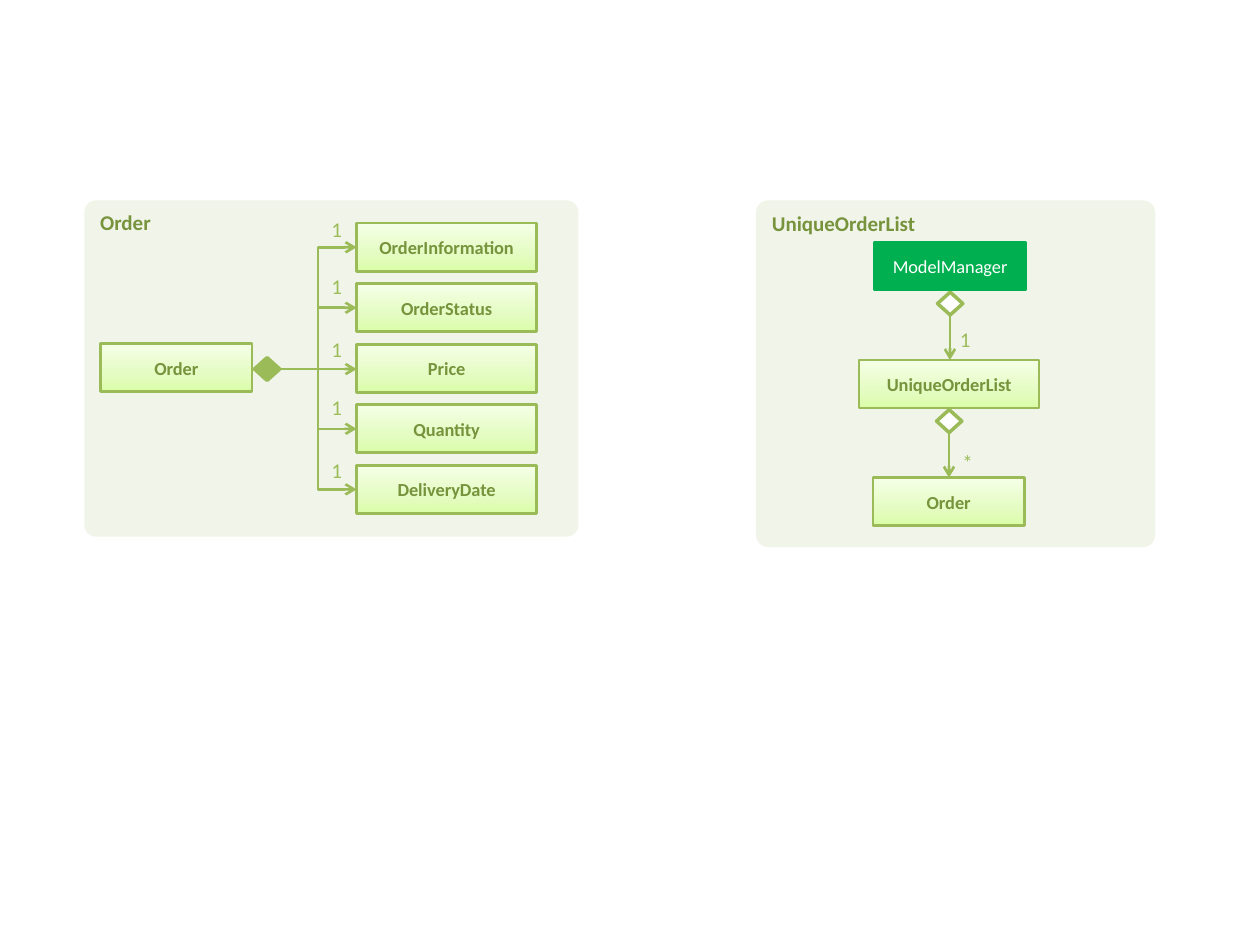
import copy
from dataclasses import dataclass

import pptx
import pptx.util
from lxml import etree
from pptx.dml.color import RGBColor
from pptx.enum.shapes import MSO_CONNECTOR, MSO_SHAPE
from pptx.enum.text import MSO_ANCHOR, PP_ALIGN
from pptx.oxml.ns import qn
from pptx.util import Cm, Pt

PALE = RGBColor(0xF1, 0xF5, 0xE9)
GREEN = RGBColor(0x9B, 0xBB, 0x59)
LABEL = RGBColor(0x9B, 0xBC, 0x59)
DARK = RGBColor(0x77, 0x93, 0x3C)
VIVID = RGBColor(0x00, 0xB0, 0x50)
WHITE = RGBColor(0xFF, 0xFF, 0xFF)
SHADES = (
    (0, RGBColor(0xDA, 0xFD, 0xA7)),
    (0.35, RGBColor(0xE4, 0xFC, 0xC2)),
    (1, RGBColor(0xF5, 0xFF, 0xE7)),
)
FONT = "Calibri"
HIGH = 0.97   # height of a class box, cm
SLIM = 3.05   # narrow class box
WIDE = 3.63   # wide class box


@dataclass
class Box:
    text: str
    left: float
    top: float
    width: float


@dataclass
class Part:
    name: str
    mark: float   # top of its "1"
    width: float  # width of its "1" box


def set_text(frame, text: str, size: float, color: RGBColor, bold: bool,
             align=PP_ALIGN.LEFT, anchor=MSO_ANCHOR.TOP) -> None:
    frame.word_wrap = True
    frame.vertical_anchor = anchor
    para = frame.paragraphs[0]
    para.text = text
    para.alignment = align
    font = para.font
    font.name, font.size, font.bold = FONT, Pt(size), bold
    font.color.rgb = color


def add_form(group, kind, left: float, top: float, width: float, height: float):
    form = group.shapes.add_shape(kind, Cm(left), Cm(top), Cm(width), Cm(height))
    form.shadow.inherit = False
    return form


def add_panel(group, title: str, left: float, width: float, height: float) -> None:
    panel = add_form(group, MSO_SHAPE.ROUNDED_RECTANGLE, left, 4.04, width, height)
    panel.adjustments[0] = 0.035
    panel.fill.solid()
    panel.fill.fore_color.rgb = PALE
    panel.line.fill.background()
    set_text(panel.text_frame, title, 12, DARK, True)


def shade(form) -> None:
    form.fill.gradient()
    form.fill.gradient_angle = 90
    stops = form._element.spPr.find(".//" + qn("a:gsLst"))
    stops.append(copy.deepcopy(stops[-1]))
    for stop, (place, color) in zip(form.fill.gradient_stops, SHADES):
        stop.position = place
        stop.color.rgb = color


def add_box(group, box: Box, solid: bool = False) -> None:
    form = add_form(group, MSO_SHAPE.RECTANGLE, box.left, box.top, box.width, HIGH)
    if solid:
        form.fill.solid()
        form.fill.fore_color.rgb = VIVID
    else:
        shade(form)
    form.line.color.rgb = VIVID if solid else GREEN
    form.line.width = Pt(1.5)
    set_text(form.text_frame, box.text, 10.5, WHITE if solid else DARK, not solid,
             PP_ALIGN.CENTER, MSO_ANCHOR.MIDDLE)


def add_gem(group, left: float, top: float, color: RGBColor) -> None:
    gem = add_form(group, MSO_SHAPE.FLOWCHART_DECISION, left, top, 0.51, 0.46)
    gem.fill.solid()
    gem.fill.fore_color.rgb = color
    gem.line.color.rgb = GREEN
    gem.line.width = Pt(2)


def add_arrow(group, x1: float, y1: float, x2: float, y2: float,
              bend: float | None = None) -> None:
    """Straight arrow, or an elbow that turns at the given share of its width."""
    kind = MSO_CONNECTOR.STRAIGHT if bend is None else MSO_CONNECTOR.ELBOW
    arrow = group.shapes.add_connector(kind, Cm(x1), Cm(y1), Cm(x2), Cm(y2))
    arrow.line.color.rgb = GREEN
    arrow.line.width = Pt(1.5)
    props = arrow._element.spPr
    if bend is not None:
        guides = props.find(".//" + qn("a:avLst"))
        etree.SubElement(guides, qn("a:gd"), name="adj1",
                         fmla=f"val {round(bend * 100000)}")
    etree.SubElement(props.find(qn("a:ln")), qn("a:tailEnd"), type="arrow")
    etree.SubElement(props, qn("a:effectLst"))


def add_label(group, text: str, left: float, top: float, width: float = 0.56) -> None:
    label = group.shapes.add_textbox(Cm(left), Cm(top), Cm(width), Cm(0.76))
    set_text(label.text_frame, text, 12, LABEL, False)


def draw_order(slide) -> None:
    group = slide.shapes.add_group_shape()
    add_panel(group, "Order", 1.7, 9.96, 6.78)
    add_box(group, Box("Order", 2.03, 6.93, SLIM))
    add_gem(group, 5.13, 7.21, GREEN)

    parts = (
        Part("OrderInformation", 4.24, 0.56),
        Part("OrderStatus", 5.38, 3.4),
        Part("Price", 6.65, 3.0),
        Part("Quantity", 7.82, 2.57),
        Part("DeliveryDate", 9.09, 3.61),
    )
    left, first, step = 7.19, 4.5, 1.22
    gem, trunk, mid = 5.64, 6.41, 7.44
    for i, part in enumerate(parts):
        top = first + i * step
        goal = top + HIGH / 2
        # The first arrow leaves the diamond, the others branch off the trunk
        if i == 0:
            add_arrow(group, gem, mid, left, goal, 0.5)
        elif part.name == "Price":
            add_arrow(group, trunk, mid, left, mid)
        else:
            add_arrow(group, trunk, mid, left, goal, 0)
        add_box(group, Box(part.name, left, top, WIDE))
        add_label(group, "1", 6.43, part.mark, part.width)


def draw_list(slide) -> None:
    group = slide.shapes.add_group_shape()
    add_panel(group, "UniqueOrderList", 15.24, 8.05, 6.99)
    add_box(group, Box("ModelManager", 17.63, 4.88, SLIM), solid=True)
    add_box(group, Box("UniqueOrderList", 17.32, 7.26, WIDE))
    add_box(group, Box("Order", 17.6, 9.63, SLIM))
    for mid, top, end in ((19.15, 5.89, 7.26), (19.13, 8.26, 9.63)):
        add_gem(group, mid - 0.25, top, WHITE)
        add_arrow(group, mid, top + 0.46, mid, end)
    add_label(group, "1", 19.1, 6.45)
    add_label(group, "*", 19.15, 8.94)


def main() -> None:
    deck = pptx.Presentation()
    deck.slide_width, deck.slide_height = Cm(25.4), Cm(19.05)
    slide = deck.slides.add_slide(deck.slide_layouts[6])
    draw_order(slide)
    draw_list(slide)
    deck.save("out.pptx")


if __name__ == "__main__":
    main()
